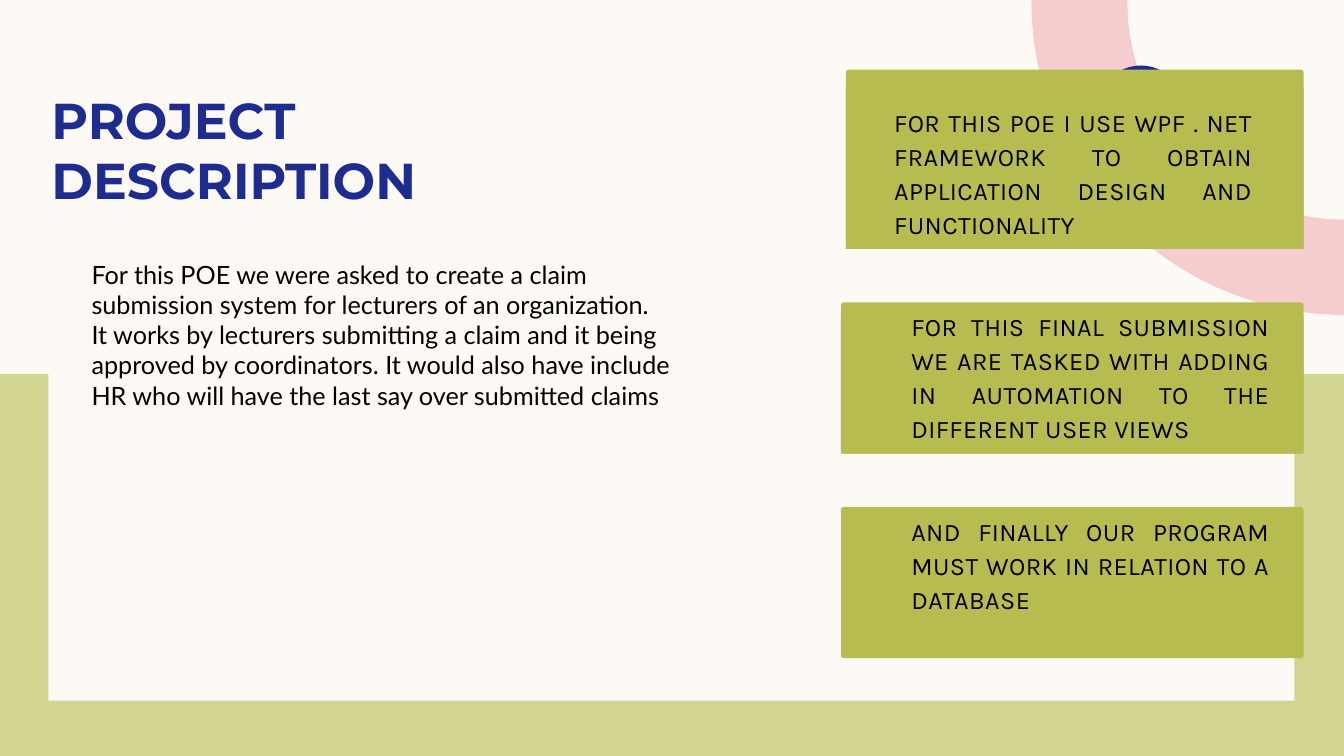
from pptx import Presentation
from pptx.dml.color import RGBColor
from pptx.enum.shapes import MSO_SHAPE as Shape
from pptx.enum.text import MSO_ANCHOR as Anchor, MSO_AUTO_SIZE as AutoSize, PP_ALIGN as Align
from pptx.util import Inches, Pt

CREAM = RGBColor(0xFD, 0xFA, 0xF6)
PALE_GREEN = RGBColor(0xD2, 0xD5, 0x92)
GREEN = RGBColor(0xB7, 0xBC, 0x51)
PINK = RGBColor(0xF5, 0xCD, 0xCE)
NAVY = RGBColor(0x1F, 0x2C, 0x8F)
BLACK = RGBColor(0, 0, 0)

# Content
TITLE = "PROJECT DESCRIPTION"
DESCRIPTION = [
    "For this POE we were asked to create a claim submission system for lecturers of an organization.",
    "It works by lecturers submitting a claim and it being approved by coordinators. "
    "It would also have include HR who will have the last say over submitted claims",
]
# Card box, whether its lower part is squared, text box, text
CARDS = [
    ((8.39, 0.69, 4.54, 1.78), True, (8.77, 0.98, 3.75, 1.77),
     "FOR THIS POE I USE WPF . NET FRAMEWORK TO OBTAIN APPLICATION DESIGN AND FUNCTIONALITY"),
    ((8.34, 3, 4.59, 1.5), True, (8.94, 3, 3.75, 1.77),
     "FOR THIS FINAL SUBMISSION WE ARE TASKED WITH ADDING IN AUTOMATION TO THE DIFFERENT USER VIEWS"),
    ((8.34, 5.03, 4.59, 1.5), False, (8.94, 5.04, 3.75, 1.44),
     "AND FINALLY OUR PROGRAM MUST WORK IN RELATION TO A DATABASE"),
]
CORNER = 0.03
# Outlines: a pair is a straight step, three pairs are a Bezier curve
RING = [
    (11.18, 0), (10.23, 0), (10.23, 0.01),
    ((10.23, 1.62), (11.46, 2.95), (13.03, 3.11)),
    (13.33, 3.13), (13.33, 2.18), (13.13, 2.17),
    ((12.1, 2.06), (11.29, 1.24), (11.19, 0.22)),
]
RING_CENTRE = [
    (13.33, 0), (12.24, 0), (12.24, 0.11),
    ((12.3, 0.63), (12.71, 1.05), (13.23, 1.1)),
    (13.33, 1.11),
]

presentation = Presentation()
presentation.slide_width, presentation.slide_height = Inches(13.33), Inches(7.5)
slide = presentation.slides.add_slide(presentation.slide_layouts[5])
slide.background.fill.solid()
slide.background.fill.fore_color.rgb = CREAM
shapes = slide.shapes


def paint(shape, color):
    shape.fill.solid()
    shape.fill.fore_color.rgb = color
    shape.line.fill.background()
    shape.shadow.inherit = False
    return shape


def add_block(kind, box, color):
    return paint(shapes.add_shape(kind, *map(Inches, box)), color)


def add_outline(steps, color, pieces=32):
    points = []
    for step in steps:
        if len(step) == 2:
            points.append(step)
            continue
        curve = (points[-1], *step)
        for i in range(1, pieces + 1):
            t = i / pieces
            weights = ((1 - t) ** 3, 3 * t * (1 - t) ** 2, 3 * t * t * (1 - t), t ** 3)
            points.append(tuple(sum(w * p[axis] for w, p in zip(weights, curve)) for axis in (0, 1)))
    points = [(Inches(x), Inches(y)) for x, y in points]
    builder = shapes.build_freeform(*points[0])
    builder.add_line_segments(points[1:], close=True)
    paint(builder.convert_to_shape(), color)


def write(paragraph, text, font_name, size, color):
    run = paragraph.add_run()
    run.text = text
    run.font.name, run.font.size = font_name, Pt(size)
    run.font.color.rgb = color
    return run


def add_text(box, texts, font_name):
    frame = shapes.add_textbox(*map(Inches, box)).text_frame
    frame.word_wrap = True
    frame.auto_size = AutoSize.SHAPE_TO_FIT_TEXT
    for i, text in enumerate(texts):
        paragraph = frame.add_paragraph() if i else frame.paragraphs[0]
        write(paragraph, text, font_name, 18, BLACK)
    return frame


# Frame and corner decoration
add_block(Shape.RECTANGLE, (-0.03, 3.71, 13.36, 3.79), PALE_GREEN)
add_block(Shape.RECTANGLE, (0.48, 0.36, 12.36, 6.59), CREAM)
add_outline(RING, PINK)
add_outline(RING_CENTRE, CREAM)
add_block(Shape.OVAL, (10.89, 0.65, 0.85, 0.85), NAVY)

# Title, brought in front of the decoration
title = shapes.title
shapes.element.append(title.element)
title.left, title.top, title.width, title.height = map(Inches, (0.41, -1.11, 6.26, 5.18))
frame = title.text_frame
frame.word_wrap, frame.auto_size = True, AutoSize.NONE
frame.vertical_anchor = Anchor.MIDDLE
frame.margin_left = frame.margin_right = Inches(0.1)
frame.margin_top = frame.margin_bottom = 0
frame.paragraphs[0].alignment = Align.LEFT
write(frame.paragraphs[0], TITLE, "Montserrat", 36, NAVY).font.bold = True

# Description
add_text((0.81, 2.52, 6.26, 1.62), DESCRIPTION, "Lato")

# Cards
for (left, top, width, height), squared, _, _ in CARDS:
    card = add_block(Shape.ROUNDED_RECTANGLE, (left, top, width, height), GREEN)
    card.adjustments[0] = CORNER / height
    if squared:
        add_block(Shape.RECTANGLE, (left, top + height * 0.1, width, height * 0.9), GREEN)

for _, _, text_box, text in CARDS:
    paragraph = add_text(text_box, [text], "Karla").paragraphs[0]
    paragraph.alignment = Align.JUSTIFY
    paragraph.line_spacing = Pt(24.3)
    # Letter spacing in hundredths of a point
    paragraph.runs[0].font._element.set("spc", "30")

presentation.save("out.pptx")
